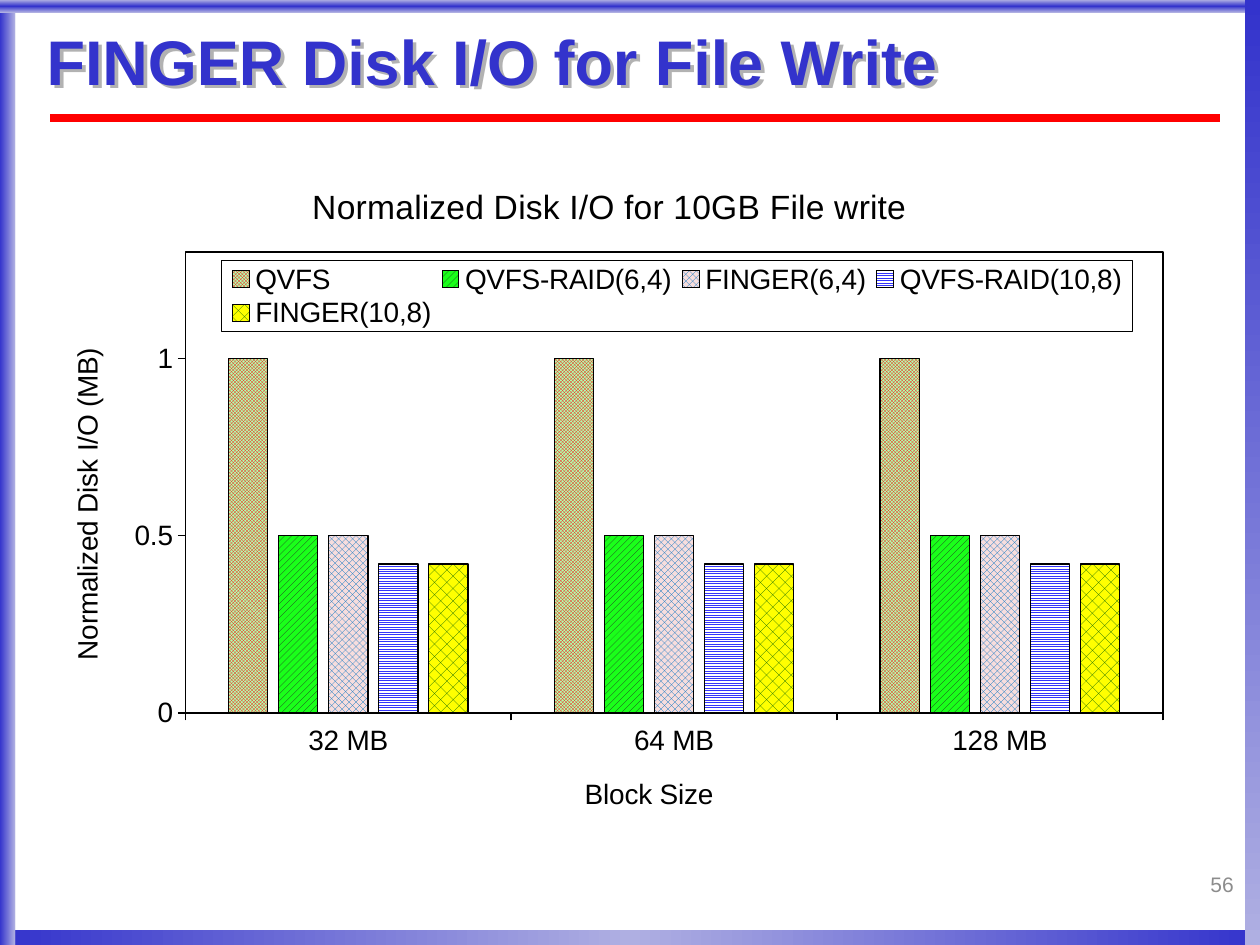
from pptx import Presentation
from pptx.chart.data import CategoryChartData
from pptx.dml.color import RGBColor
from pptx.enum.chart import XL_CHART_TYPE, XL_LEGEND_POSITION, XL_TICK_MARK
from pptx.enum.dml import MSO_PATTERN
from pptx.enum.shapes import MSO_CONNECTOR, MSO_SHAPE
from pptx.enum.text import MSO_ANCHOR, PP_ALIGN
from pptx.oxml import parse_xml
from pptx.oxml.ns import nsdecls
from pptx.util import Inches, Pt

RECT = MSO_SHAPE.RECTANGLE
MIDDLE = MSO_ANCHOR.MIDDLE
LEFT, RIGHT = PP_ALIGN.LEFT, PP_ALIGN.RIGHT

FONT = "Arial"
BLUE, PALE, BLACK = "3333CC", "AFAFE2", "000000"

# Frame bars: left, top, width, height, evenly spaced gradient colours, angle
BARS = [
    (0, 7.38, 10, 0.13, (BLUE, PALE, BLUE), 0),
    (0, 0, 0.12, 7.5, (BLUE, PALE), 0),
    (0, 0, 10, 0.1, (PALE, BLUE, PALE), 90),
    (9.88, 0, 0.12, 7.5, (BLUE, PALE), 90),
]

# Chart content: name, values, pattern, foreground, background
CHART_BOX = (0.34, 1.24, 9.08, 5.81)
CATEGORIES = ["32 MB", "64 MB", "128 MB"]
SERIES = [
    ("QVFS", (1, 1, 1), MSO_PATTERN.SMALL_CHECKER_BOARD, "FF0000", "B0FFB0"),
    ("QVFS-RAID(6,4)", (0.5, 0.5, 0.5), MSO_PATTERN.WIDE_UPWARD_DIAGONAL, "262626", "1AFF1A"),
    ("FINGER(6,4)", (0.5, 0.5, 0.5), MSO_PATTERN.LARGE_CHECKER_BOARD, "0070C0", "F7DDDD"),
    ("QVFS-RAID(10,8)", (0.42, 0.42, 0.42), MSO_PATTERN.NARROW_HORIZONTAL, "3535FB", "FFFFFF"),
    ("FINGER(10,8)", (0.42, 0.42, 0.42), MSO_PATTERN.PERCENT_30, "006000", "FFFF00"),
]


def rgb(value):
    return RGBColor.from_string(value)


def set_font(font, size, color, bold=False):
    font.name, font.size, font.bold = FONT, Pt(size), bold
    font.color.rgb = rgb(color)


def set_line(line, color=BLACK, width=0.75):
    line.color.rgb = rgb(color)
    line.width = Pt(width)


def add_bar(s, left, top, width, height, colors, angle):
    sp = s.shapes.add_shape(RECT, *map(Inches, (left, top, width, height)))
    sp.shadow.inherit = False
    sp.line.fill.background()
    step = 100000 // (len(colors) - 1)
    stops = "".join(f'<a:gs pos="{i * step}"><a:srgbClr val="{c}"/></a:gs>'
                    for i, c in enumerate(colors))
    grad = parse_xml(f'<a:gradFill {nsdecls("a")} rotWithShape="1"><a:gsLst>{stops}</a:gsLst>'
                     f'<a:lin ang="{angle * 60000}" scaled="0"/></a:gradFill>')
    sp._element.spPr.insert(2, grad)


def add_text(s, box, text, size, color, bold=False, align=LEFT, spacing=1.0, inset=0.1):
    sp = s.shapes.add_textbox(*map(Inches, box))
    tf = sp.text_frame
    tf.word_wrap = True
    tf.vertical_anchor = MIDDLE
    tf.margin_left = tf.margin_right = Inches(inset)
    tf.margin_top = tf.margin_bottom = Inches(inset / 2)
    p = tf.paragraphs[0]
    p.alignment, p.line_spacing = align, spacing
    r = p.add_run()
    r.text = text
    set_font(r.font, size, color, bold)
    return sp


def place(element, index, x, y, w=None, h=None, inner=False):
    """Give a chart part a manual layout, in inches from the chart's corner."""
    for old in element.findall("{*}layout"):
        element.remove(old)
    width, height = CHART_BOX[2:]
    parts = [("layoutTarget", "inner")] if inner else []
    parts += [("xMode", "edge"), ("yMode", "edge"), ("x", x / width), ("y", y / height)]
    if w is not None:
        parts += [("w", w / width), ("h", h / height)]
    xml = "".join(f'<c:{tag} val="{value}"/>' for tag, value in parts)
    element.insert(index, parse_xml(
        f'<c:layout {nsdecls("c")}><c:manualLayout>{xml}</c:manualLayout></c:layout>'))


def outline():
    return parse_xml(f'<c:spPr {nsdecls("c", "a")}><a:noFill/><a:ln w="9525"><a:solidFill>'
                     f'<a:srgbClr val="{BLACK}"/></a:solidFill></a:ln></c:spPr>')


def set_title(title, text, size, x, y):
    r = title.text_frame.paragraphs[0].add_run()
    r.text = text
    set_font(r.font, size, BLACK)
    place(title._element, 1, x, y)


prs = Presentation()
prs.slide_width, prs.slide_height = Inches(10), Inches(7.5)
s = prs.slides.add_slide(prs.slide_layouts[6])

# Frame and rule under the title
for bar in BARS:
    add_bar(s, *bar)
rule = s.shapes.add_connector(MSO_CONNECTOR.STRAIGHT, *map(Inches, (0.4, 0.94, 9.68, 0.94)))
set_line(rule.line, "FF0000", 4.5)
rule._element.spPr.append(parse_xml(f'<a:effectLst {nsdecls("a")}/>'))

# Title with its shadow, and page number
title = add_text(s, (0.37, 0.15, 9.3, 0.74), "FINGER Disk I/O for File Write", 36, BLUE,
                 bold=True, spacing=0.87, inset=0)
title._element.spPr.append(parse_xml(
    f'<a:effectLst {nsdecls("a")}><a:outerShdw dist="38100" dir="2700000">'
    '<a:srgbClr val="B2B2B2"/></a:outerShdw></a:effectLst>'))
add_text(s, (7.64, 6.83, 2.25, 0.4), "56", 12, "8C8C8C", align=RIGHT, spacing=0.85)

# Chart
data = CategoryChartData()
data.categories = CATEGORIES
for name, values, *_ in SERIES:
    data.add_series(name, values)
chart = s.shapes.add_chart(XL_CHART_TYPE.COLUMN_CLUSTERED,
                           *map(Inches, CHART_BOX), data).chart
set_font(chart.font, 16, BLACK)
set_title(chart.chart_title, "Normalized Disk I/O for 10GB File write", 19.2, 2.09, 0.17)

# Columns
plot = chart.plots[0]
plot.vary_by_categories = False
plot.gap_width, plot.overlap = 219, -27
for series, (_, _, pattern, fore, back) in zip(plot.series, SERIES):
    fill = series.format.fill
    fill.patterned()
    fill.pattern = pattern
    fill.fore_color.rgb, fill.back_color.rgb = rgb(fore), rgb(back)
    set_line(series.format.line)

# Axes
for axis, text, x, y in ((chart.category_axis, "Block Size", 4.26, 4.88),
                         (chart.value_axis, "Normalized Disk I/O (MB)", 0.17, 1.48)):
    axis.has_major_gridlines = False
    axis.major_tick_mark = XL_TICK_MARK.OUTSIDE
    axis.minor_tick_mark = XL_TICK_MARK.NONE
    set_font(axis.tick_labels.font, 16, BLACK)
    set_line(axis.format.line)
    set_title(axis.axis_title, text, 16, x, y)
value_axis = chart.value_axis
value_axis.minimum_scale, value_axis.maximum_scale, value_axis.major_unit = 0, 1.3, 0.5

# Legend inside the framed plot area
chart.has_legend = True
legend = chart.legend
legend.position = XL_LEGEND_POSITION.BOTTOM
legend.include_in_layout = False
set_font(legend.font, 16, BLACK)
place(legend._element, 1, 1.42, 0.83, 7.23, 0.56)
legend._element.find("{*}txPr").addprevious(outline())
plot_area = chart.element.find(".//{*}plotArea")
place(plot_area, 0, 1.13, 0.76, 7.76, 3.66, inner=True)
plot_area.append(outline())

prs.save("out.pptx")
